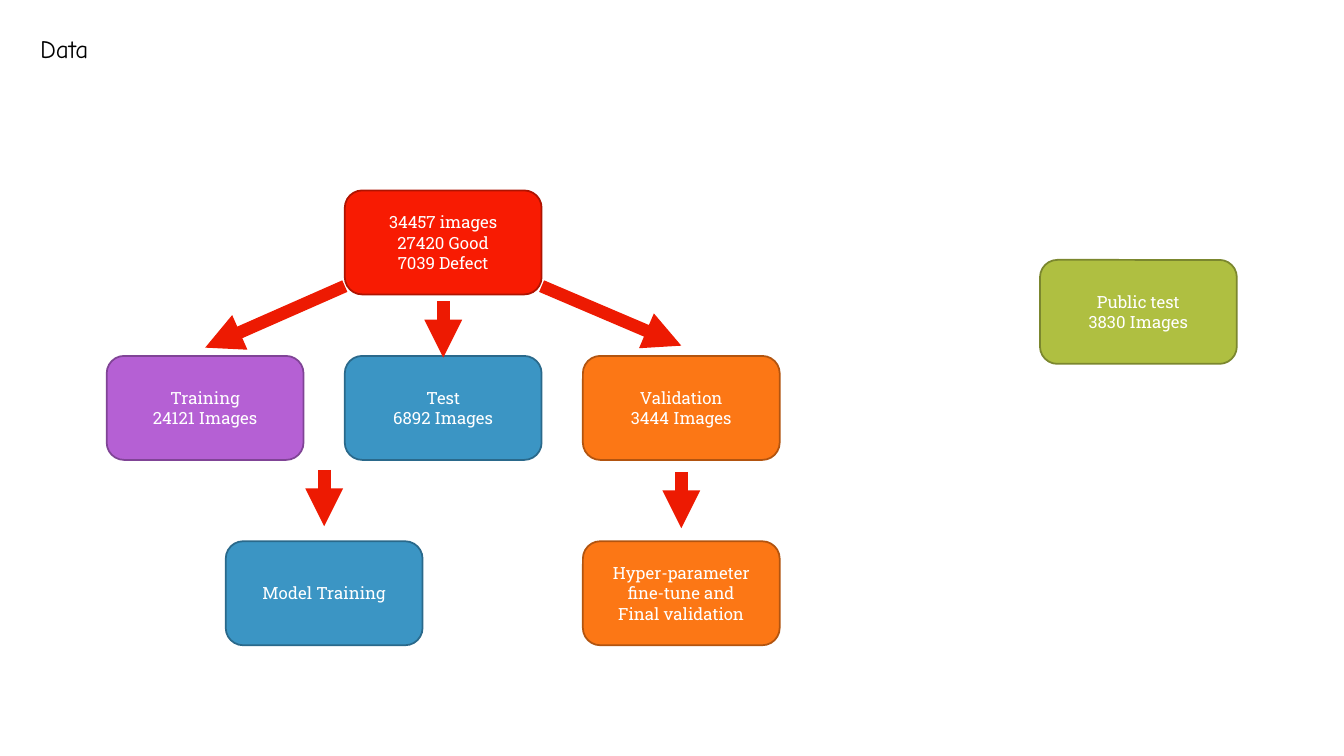
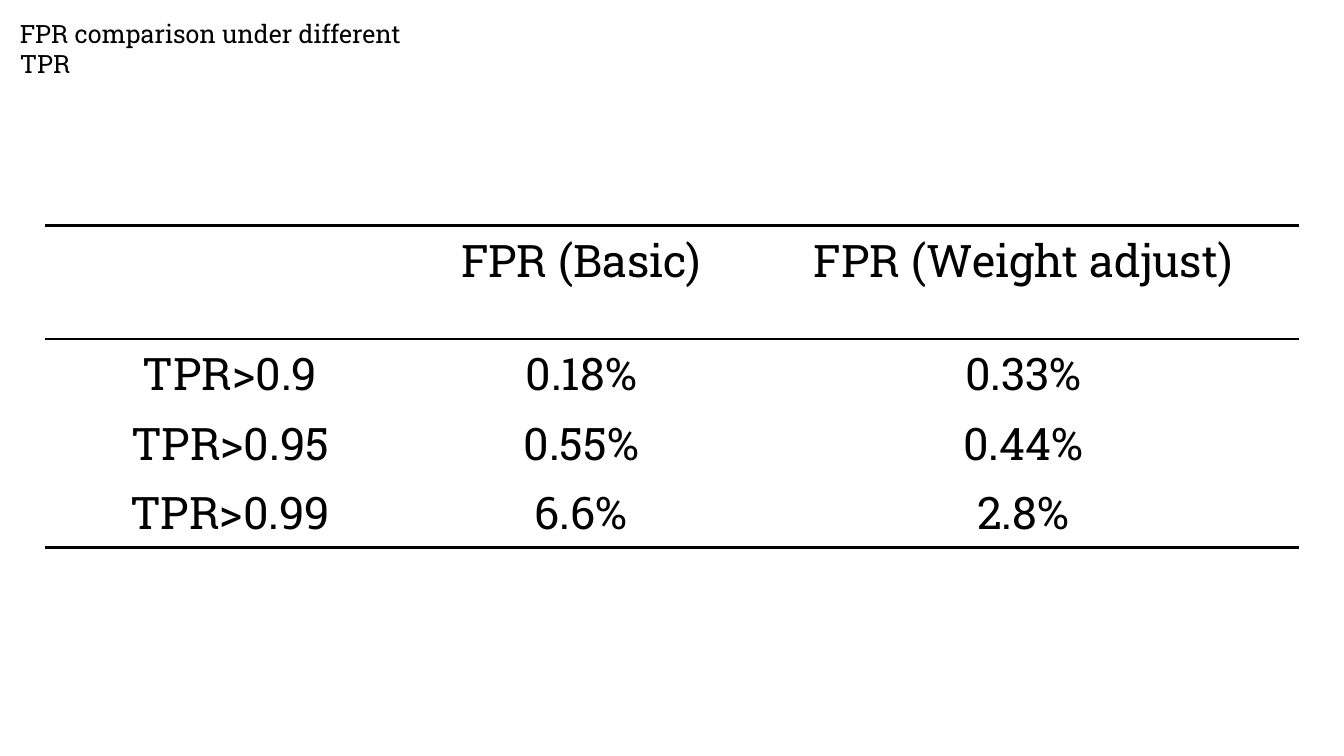
from dataclasses import dataclass

from lxml.etree import SubElement
from pptx import Presentation
from pptx.dml.color import RGBColor
from pptx.enum.shapes import MSO_CONNECTOR, MSO_SHAPE
from pptx.enum.text import MSO_ANCHOR, PP_ALIGN
from pptx.oxml.ns import qn
from pptx.slide import Slide
from pptx.util import Cm, Pt

BLACK = RGBColor(0x00, 0x00, 0x00)
WHITE = RGBColor(0xFF, 0xFF, 0xFF)
ARROW_RED = RGBColor(0xED, 0x1A, 0x02)
RED, DARK_RED = RGBColor(0xF8, 0x1B, 0x02), RGBColor(0xAF, 0x13, 0x01)
PURPLE, DARK_PURPLE = RGBColor(0xB5, 0x60, 0xD4), RGBColor(0x80, 0x44, 0x96)
BLUE, DARK_BLUE = RGBColor(0x3B, 0x95, 0xC4), RGBColor(0x2A, 0x69, 0x8B)
ORANGE, DARK_ORANGE = RGBColor(0xFC, 0x77, 0x15), RGBColor(0xB2, 0x54, 0x0F)
GREEN, DARK_GREEN = RGBColor(0xAF, 0xBF, 0x41), RGBColor(0x7B, 0x87, 0x2E)

SLAB = "Roboto Slab"
COMIC = "Comic Neue"

BOX_WIDTH, BOX_HEIGHT = 4.96, 2.62
FIRST_LEFT, COLUMN_STEP = 2.69, 6.0
SOURCE_TOP, SPLIT_TOP, USE_TOP = 4.8, 8.97, 13.64
ARROW_LENGTH = 1.42


@dataclass(frozen=True)
class Stage:
    left: float
    top: float
    fill: RGBColor
    outline: RGBColor
    lines: tuple[str, ...]


@dataclass(frozen=True)
class Arrow:
    start: tuple[float, float]
    end: tuple[float, float]


def column_left(column: float) -> float:
    return FIRST_LEFT + column * COLUMN_STEP


def column_center(column: float) -> float:
    return column_left(column) + BOX_WIDTH / 2


def down_arrow(column: float, top: float) -> Arrow:
    center = column_center(column)
    return Arrow((center, top), (center, top + ARROW_LENGTH))


STAGES = (
    Stage(column_left(1), SOURCE_TOP, RED, DARK_RED,
          ("34457 images", "27420 Good", "7039 Defect")),
    Stage(column_left(0), SPLIT_TOP, PURPLE, DARK_PURPLE,
          ("Training", "24121 Images")),
    Stage(column_left(1), SPLIT_TOP, BLUE, DARK_BLUE,
          ("Test", "6892 Images")),
    Stage(column_left(2), SPLIT_TOP, ORANGE, DARK_ORANGE,
          ("Validation", "3444 Images")),
    Stage(column_left(0.5), USE_TOP, BLUE, DARK_BLUE,
          ("Model Training",)),
    Stage(column_left(2), USE_TOP, ORANGE, DARK_ORANGE,
          ("Hyper-parameter fine-tune and", "Final validation")),
    Stage(26.21, 6.55, GREEN, DARK_GREEN,
          ("Public test", "3830 Images")),
)

ARROWS = (
    Arrow((column_left(1), 7.21), (column_center(0), 8.76)),
    Arrow((column_left(1) + BOX_WIDTH, 7.21), (column_center(2), 8.71)),
    down_arrow(1, 7.59),
    down_arrow(0.5, 11.84),
    down_arrow(2, 11.89),
)

COLUMN_WIDTHS = (9.32, 8.38, 13.9)
ROW_HEIGHTS = (2.85, 1.75, 1.75, 1.75)
RATES = (
    ("", "FPR (Basic)", "FPR (Weight adjust)"),
    ("TPR>0.9", "0.18%", "0.33%"),
    ("TPR>0.95", "0.55%", "0.44%"),
    ("TPR>0.99", "6.6%", "2.8%"),
)


def write(paragraph, text: str, size: float, color: RGBColor, font: str = SLAB) -> None:
    run = paragraph.add_run()
    run.text = text
    run.font.size = Pt(size)
    run.font.name = font
    run.font.color.rgb = color


def add_title(slide: Slide, text: str, left: float, top: float, width: float, font: str) -> None:
    title = slide.shapes.add_textbox(Cm(left), Cm(top), Cm(width), Cm(1.02))
    title.text_frame.word_wrap = True
    write(title.text_frame.paragraphs[0], text, 18, BLACK, font)


def add_stage(slide: Slide, stage: Stage) -> None:
    box = slide.shapes.add_shape(MSO_SHAPE.ROUNDED_RECTANGLE, Cm(stage.left), Cm(stage.top),
                                 Cm(BOX_WIDTH), Cm(BOX_HEIGHT))
    box.shadow.inherit = False
    box.fill.solid()
    box.fill.fore_color.rgb = stage.fill
    box.line.color.rgb = stage.outline
    box.line.width = Pt(1.25)
    frame = box.text_frame
    frame.word_wrap = True
    frame.vertical_anchor = MSO_ANCHOR.MIDDLE
    for index, line in enumerate(stage.lines):
        paragraph = frame.add_paragraph() if index else frame.paragraphs[0]
        paragraph.alignment = PP_ALIGN.CENTER
        write(paragraph, line, 12, WHITE)


def add_arrow(slide: Slide, arrow: Arrow) -> None:
    connector = slide.shapes.add_connector(
        MSO_CONNECTOR.STRAIGHT, *(Cm(value) for value in arrow.start + arrow.end))
    connector.line.color.rgb = ARROW_RED
    connector.line.width = Pt(9)
    SubElement(connector.line._get_or_add_ln(), qn("a:tailEnd"), type="triangle")
    SubElement(connector._element.spPr, qn("a:effectLst"))


def set_borders(cell, ruled: set[str]) -> None:
    properties = cell._tc.get_or_add_tcPr()
    for side in ("L", "R", "T", "B"):
        border = SubElement(properties, qn(f"a:ln{side}"), w=str(Pt(2.25)))
        if side in ruled:
            fill = SubElement(border, qn("a:solidFill"))
            SubElement(fill, qn("a:srgbClr"), val=str(BLACK))
        else:
            SubElement(border, qn("a:noFill"))


def add_rates(slide: Slide) -> None:
    rates = slide.shapes.add_table(
        len(RATES), len(COLUMN_WIDTHS), Cm(1.14), Cm(5.69),
        Cm(sum(COLUMN_WIDTHS)), Cm(sum(ROW_HEIGHTS))).table
    rates.first_row = False
    rates.horz_banding = False
    for column, width in zip(rates.columns, COLUMN_WIDTHS):
        column.width = Cm(width)
    ruled_sides = {0: {"T", "B"}, 1: {"T"}, len(RATES) - 1: {"B"}}
    for row_index, (row, height, values) in enumerate(zip(rates.rows, ROW_HEIGHTS, RATES)):
        row.height = Cm(height)
        for cell, value in zip(row.cells, values):
            set_borders(cell, ruled_sides.get(row_index, set()))
            cell.fill.background()
            if value:
                paragraph = cell.text_frame.paragraphs[0]
                paragraph.alignment = PP_ALIGN.CENTER
                write(paragraph, value, 32, BLACK)


def build_data(slide: Slide) -> None:
    add_title(slide, "Data", 0.76, 0.71, 1.93, COMIC)
    for stage in STAGES:
        add_stage(slide, stage)
    for arrow in ARROWS:
        add_arrow(slide, arrow)


def build_comparison(slide: Slide) -> None:
    add_rates(slide)
    add_title(slide, "FPR comparison under different TPR", 0.25, 0.33, 11.15, SLAB)


def main() -> None:
    presentation = Presentation()
    presentation.slide_width = Cm(33.87)
    presentation.slide_height = Cm(19.05)
    blank = presentation.slide_layouts[6]
    for build in (build_data, build_comparison):
        build(presentation.slides.add_slide(blank))
    presentation.save("out.pptx")


if __name__ == "__main__":
    main()
